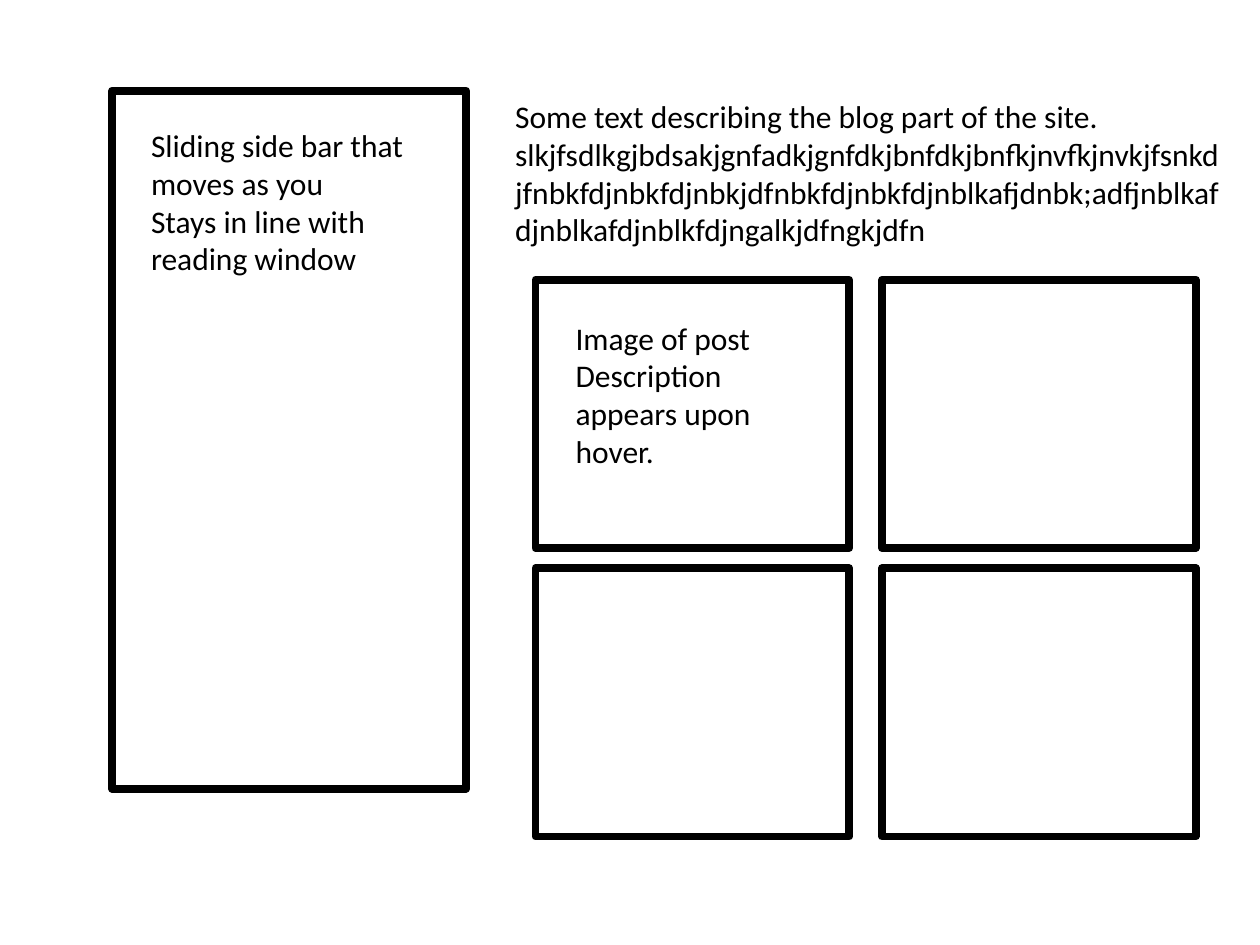
from dataclasses import dataclass

from pptx import Presentation
from pptx import util as u
from pptx.dml.color import RGBColor
from pptx.enum import shapes, text
from pptx.slide import Slide

COLORS = {"ink": "000000"}
FONT_NAME = "Calibri"
FONT_SIZE = 18
FRAME_WEIGHT = 4.5
POST_LEFT, POST_TOP = 4.25, 2.22
POST_WIDTH, POST_HEIGHT = 2.49, 2.13
COLUMN_STEP, ROW_STEP = 2.75, 2.29


@dataclass(frozen=True)
class Box:
    left: float
    top: float
    width: float
    height: float

    def lengths(self) -> tuple[u.Length, ...]:
        return tuple(u.Inches(value) for value in (self.left, self.top, self.width, self.height))


@dataclass(frozen=True)
class Note:
    box: Box
    paragraphs: tuple[str, ...]


SIDEBAR = Box(0.89, 0.72, 2.81, 5.54)
POSTS = [
    Box(POST_LEFT + column * COLUMN_STEP, POST_TOP + row * ROW_STEP, POST_WIDTH, POST_HEIGHT)
    for row in range(2)
    for column in range(2)
]
NOTES = [
    Note(
        Box(1.1, 0.95, 2.35, 1.31),
        ("Sliding side bar that moves as you", "Stays in line with reading window"),
    ),
    Note(
        Box(3.99, 0.72, 5.8, 1.31),
        (
            "Some text describing the blog part of the site. "
            "slkjfsdlkgjbdsakjgnfadkjgnfdkjbnfdkjbnfkjnvfkjnvkjfsnkd"
            "jfnbkfdjnbkfdjnbkjdfnbkfdjnbkfdjnblkafjdnbk;adfjnblkaf"
            "djnblkafdjnblkfdjngalkjdfngkjdfn",
        ),
    ),
    Note(
        Box(4.47, 2.48, 2, 1.31),
        ("Image of post", "Description appears upon hover."),
    ),
]


def draw_frame(slide: Slide, box: Box) -> None:
    shape = slide.shapes.add_shape(shapes.MSO_SHAPE.RECTANGLE, *box.lengths())
    shape.shadow.inherit = False
    shape.fill.background()
    shape.line.color.rgb = RGBColor.from_string(COLORS["ink"])
    shape.line.width = u.Pt(FRAME_WEIGHT)


def draw_note(slide: Slide, note: Note) -> None:
    frame = slide.shapes.add_textbox(*note.box.lengths()).text_frame
    frame.word_wrap = True
    frame.auto_size = text.MSO_AUTO_SIZE.SHAPE_TO_FIT_TEXT
    for index, wording in enumerate(note.paragraphs):
        paragraph = frame.add_paragraph() if index else frame.paragraphs[0]
        run = paragraph.add_run()
        run.text = wording
        run.font.name = FONT_NAME
        run.font.size = u.Pt(FONT_SIZE)
        run.font.color.rgb = RGBColor.from_string(COLORS["ink"])


def main() -> None:
    presentation = Presentation()
    presentation.slide_width = u.Inches(10)
    presentation.slide_height = u.Inches(7.5)
    slide = presentation.slides.add_slide(presentation.slide_layouts[6])
    for box in [SIDEBAR, *POSTS]:
        draw_frame(slide, box)
    for note in NOTES:
        draw_note(slide, note)
    presentation.save("out.pptx")


if __name__ == "__main__":
    main()
